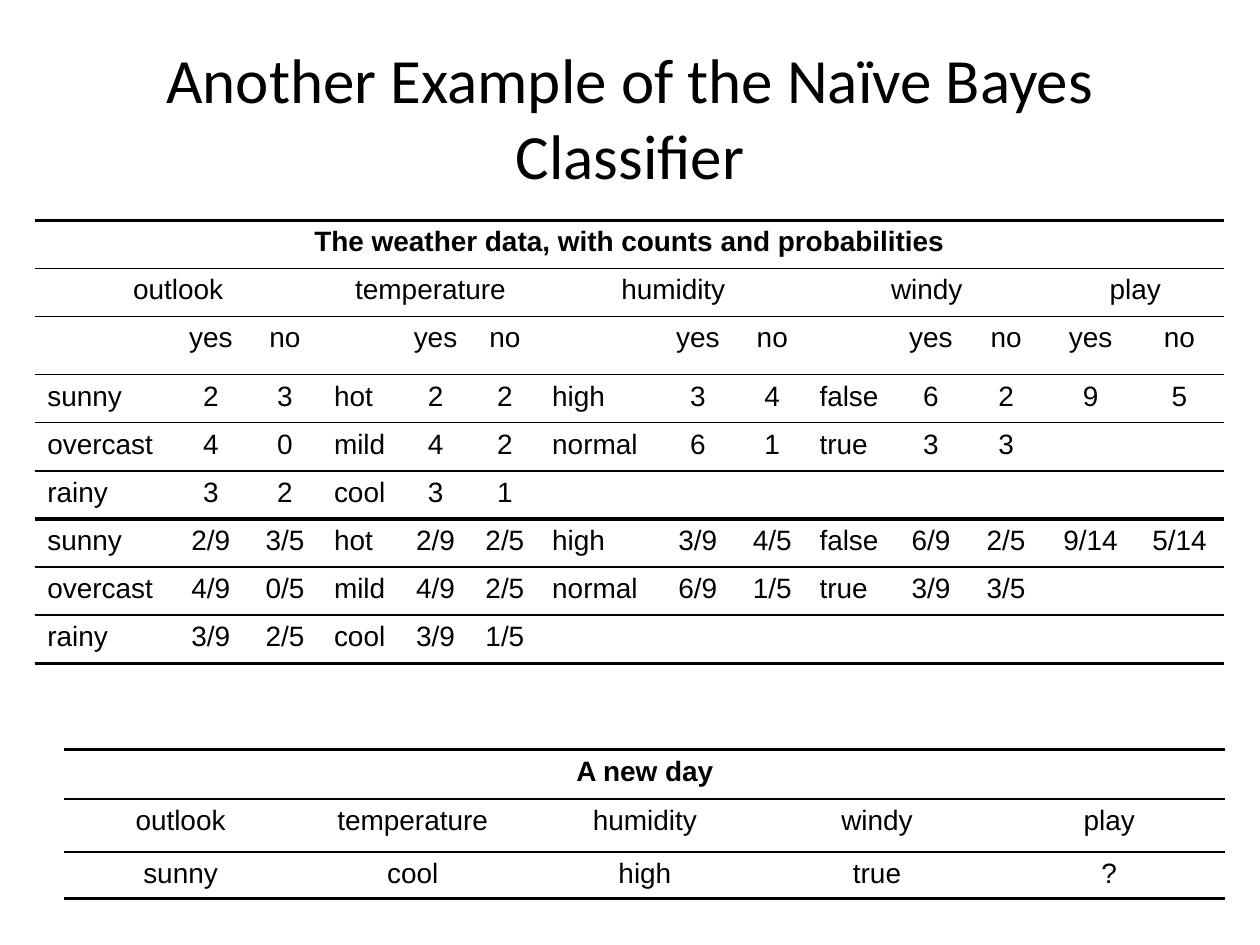
from lxml import etree
from pptx import Presentation
from pptx.dml.color import RGBColor
from pptx.enum.text import MSO_ANCHOR, PP_ALIGN
from pptx.oxml.ns import qn
from pptx.util import Cm, Pt

LEFT, CENTER = PP_ALIGN.LEFT, PP_ALIGN.CENTER
MIDDLE = MSO_ANCHOR.MIDDLE
TITLE_ONLY_LAYOUT = 5
NO_STYLE = "{2D5ABB26-0587-4C30-8999-92F81FD0307C}"
COLORS = {"text": "000000", "rule": "000000"}
THIN, THICK = 1, 2.25

# Weather table: label, yes and no columns per attribute, then play
WEATHER_COLUMNS = [2.79, 1.52, 1.47, 1.6, 1.4, 1.4, 2.39,
                   1.6, 1.4, 1.8, 1.4, 1.63, 1.78, 1.8]
WEATHER_HEIGHTS = [0.97, 0.97, 1.17] + [0.97] * 6
WEATHER_RULES = [THICK] + [THIN] * 5 + [THICK] + [THIN] * 2 + [THICK]
LABEL_COLUMNS = (0, 3, 6, 9)
WEATHER_ROWS = [
    "The weather data, with counts and probabilities",
    "outlook|||temperature|||humidity|||windy|||play",
    "|yes|no||yes|no||yes|no||yes|no|yes|no",
    "sunny|2|3|hot|2|2|high|3|4|false|6|2|9|5",
    "overcast|4|0|mild|4|2|normal|6|1|true|3|3",
    "rainy|3|2|cool|3|1",
    "sunny|2/9|3/5|hot|2/9|2/5|high|3/9|4/5|false|6/9|2/5|9/14|5/14",
    "overcast|4/9|0/5|mild|4/9|2/5|normal|6/9|1/5|true|3/9|3/5",
    "rainy|3/9|2/5|cool|3/9|1/5",
]
# Merged cells as (row, first column, last column)
WEATHER_MERGES = [(0, 0, 13), (1, 0, 2), (1, 3, 5), (1, 6, 8), (1, 9, 11), (1, 12, 13)]

# New day table
NEW_DAY_COLUMNS = [4.68] * 5
NEW_DAY_HEIGHTS = [1, 1.07, 0.93]
NEW_DAY_RULES = [THICK, THIN, THIN, THICK]
NEW_DAY_ROWS = [
    "A new day",
    "outlook|temperature|humidity|windy|play",
    "sunny|cool|high|true|?",
]


def write(para, text, *, font, size, bold=False, color="text", align=CENTER):
    para.alignment = align
    if not text:
        # An empty cell keeps the text size so that its row does not grow
        etree.SubElement(para._p, qn("a:endParaRPr"), sz=str(size * 100))
        return
    span = para.add_run()
    span.text = text
    span.font.name = font
    span.font.size = Pt(size)
    span.font.bold = bold
    span.font.color.rgb = RGBColor.from_string(COLORS[color])


class SlideBuilder:
    title_style = {"font": "Calibri", "size": 36}
    cell_style = {"font": "Arial", "size": 16}

    def __init__(self, slide):
        self.slide = slide

    def title(self, text, left, top, width, height):
        box = self.slide.shapes.title
        box.left, box.top, box.width, box.height = map(Cm, (left, top, width, height))
        box.text_frame.word_wrap = True
        box.text_frame.vertical_anchor = MIDDLE
        write(box.text_frame.paragraphs[0], text, **self.title_style)

    def table(self, rows, left, top, columns, heights, rules, merges, label_columns=()):
        frame = self.slide.shapes.add_table(
            len(heights), len(columns), Cm(left), Cm(top), Cm(sum(columns)), Cm(sum(heights)))
        table = frame.table
        table.first_row = table.horz_banding = False
        table._tbl.tblPr.find(qn("a:tableStyleId")).text = NO_STYLE
        for column, width in zip(table.columns, columns):
            column.width = Cm(width)
        for row, height in zip(table.rows, heights):
            row.height = Cm(height)
        for row_index, line in enumerate(rows):
            texts = line.split("|")
            texts += [""] * (len(columns) - len(texts))
            for column_index, text in enumerate(texts):
                cell = table.cell(row_index, column_index)
                is_label = row_index > 2 and column_index in label_columns
                write(cell.text_frame.paragraphs[0], text, bold=row_index == 0,
                      align=LEFT if is_label else CENTER, **self.cell_style)
                self.rule(cell, rules[row_index], rules[row_index + 1])
                cell.fill.background()
        for row_index, first, last in merges:
            table.cell(row_index, first).merge(table.cell(row_index, last))

    def rule(self, cell, above, below):
        properties = cell._tc.get_or_add_tcPr()
        for side in ("a:lnL", "a:lnR"):
            etree.SubElement(etree.SubElement(properties, qn(side)), qn("a:noFill"))
        for side, weight in (("a:lnT", above), ("a:lnB", below)):
            line = etree.SubElement(properties, qn(side), w=str(Pt(weight)))
            fill = etree.SubElement(line, qn("a:solidFill"))
            etree.SubElement(fill, qn("a:srgbClr"), val=COLORS["rule"])


def main():
    deck = Presentation()
    deck.slide_width, deck.slide_height = Cm(25.4), Cm(19.05)
    page = SlideBuilder(deck.slides.add_slide(deck.slide_layouts[TITLE_ONLY_LAYOUT]))

    page.title("Another Example of the Naïve Bayes Classifier", 1.27, 0.76, 22.86, 3.18)

    # Counts and probabilities
    page.table(WEATHER_ROWS, 0.7, 4.44, WEATHER_COLUMNS, WEATHER_HEIGHTS,
               WEATHER_RULES, WEATHER_MERGES, LABEL_COLUMNS)

    # Day to classify
    page.table(NEW_DAY_ROWS, 1.3, 15.11, NEW_DAY_COLUMNS, NEW_DAY_HEIGHTS,
               NEW_DAY_RULES, [(0, 0, 4)])

    deck.save("out.pptx")


if __name__ == "__main__":
    main()
